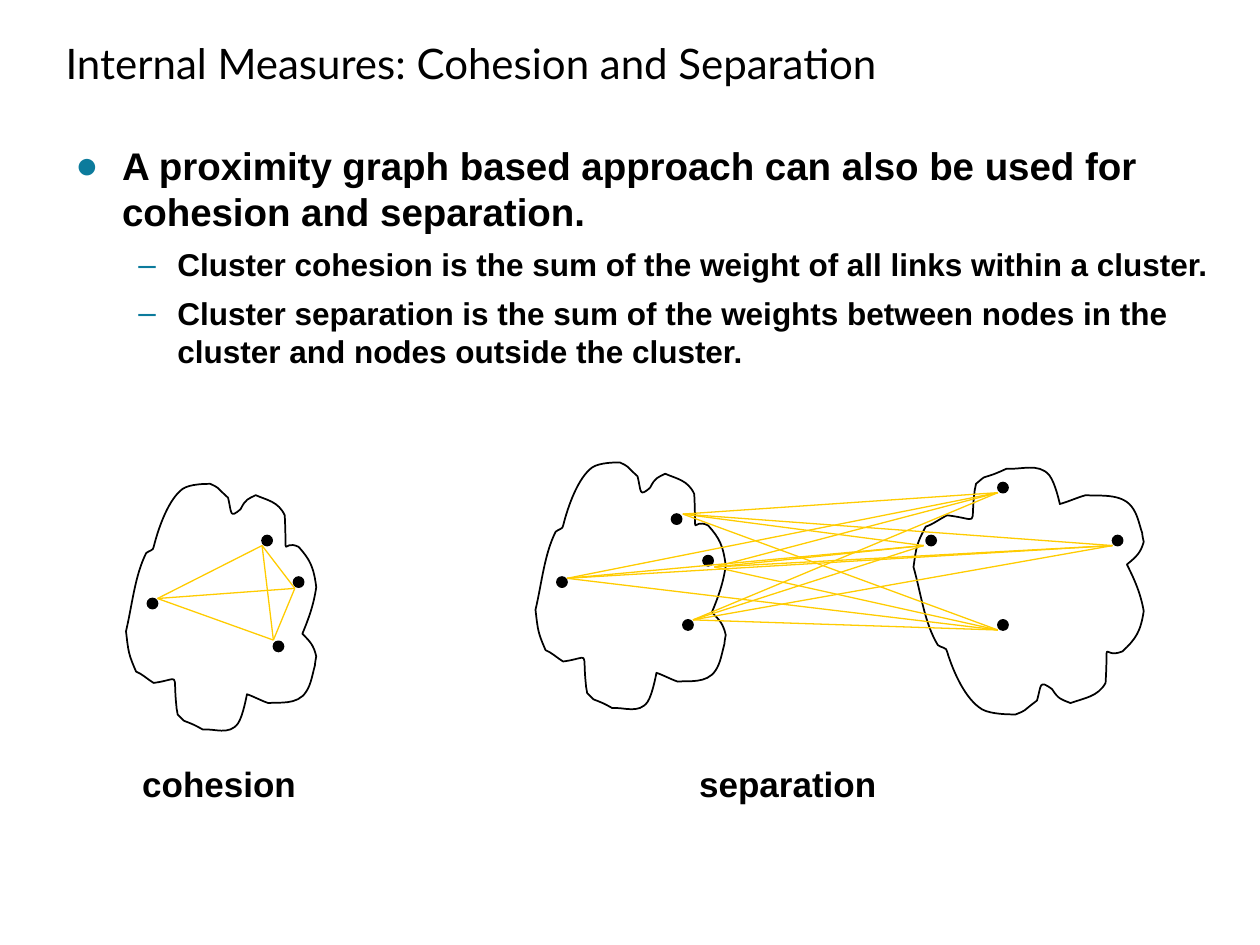
"""Build a slide on cluster cohesion and separation in proximity graphs."""
import copy
import itertools

import lxml.etree
import pptx
import pptx.dml.color
import pptx.enum.shapes
import pptx.enum.text
import pptx.oxml.ns
import pptx.util

Inches = pptx.util.Inches
Pt = pptx.util.Pt
qn = pptx.oxml.ns.qn

COLORS = {"ink": "000000", "bullet": "0C7B9C", "link": "FFCC00"}
DOT_SIZE = 0.08

OUTLINE_START = (0.16, 0.55)
OUTLINE_CURVES = [
    (0.07, 0.73, 0.05, 0.96, 0, 1.17), (0.02, 1.34, 0.02, 1.35, 0.08, 1.49),
    (0.13, 1.51, 0.17, 1.55, 0.22, 1.58), (0.44, 1.55, 0.37, 1.48, 0.4, 1.76),
    (0.4, 1.79, 0.41, 1.81, 0.41, 1.83), (0.48, 1.9, 0.44, 1.87, 0.51, 1.9),
    (0.54, 1.91, 0.61, 1.95, 0.61, 1.95), (0.7, 1.94, 0.82, 2, 0.89, 1.9),
    (0.93, 1.84, 0.96, 1.67, 0.96, 1.67), (1.02, 1.69, 1.07, 1.72, 1.13, 1.74),
    (1.21, 1.73, 1.36, 1.76, 1.43, 1.65), (1.47, 1.59, 1.48, 1.51, 1.5, 1.44),
    (1.5, 1.42, 1.51, 1.37, 1.51, 1.37), (1.49, 1.28, 1.46, 1.25, 1.4, 1.19),
    (1.45, 1.07, 1.49, 0.96, 1.51, 0.82), (1.49, 0.66, 1.46, 0.6, 1.37, 0.5),
    (1.23, 0.43, 1.28, 0.65, 1.26, 0.25), (1.21, 0.14, 1.12, 0.13, 1.03, 0.09),
    (0.97, 0.12, 0.95, 0.12, 0.91, 0.2), (0.82, 0.28, 0.84, 0.23, 0.81, 0.11),
    (0.7, 0.01, 0.75, 0.04, 0.67, 0), (0.63, 0, 0.51, 0, 0.45, 0.04),
    (0.34, 0.12, 0.26, 0.34, 0.22, 0.5), (0.22, 0.53, 0.18, 0.53, 0.16, 0.55),
]
NEAR_DOTS = [(1.17, 1.25), (1.08, 0.41), (0.17, 0.91), (1.33, 0.74)]
FAR_DOTS = [(1.58, 0.58), (0.1, 0.58), (0.67, 1.25), (0.67, 0.16)]
CLUSTERS = [
    {"left": 4.25, "top": 3.67, "stretch": 1, "flip": False, "dots": NEAR_DOTS},
    {"left": 7.25, "top": 3.67, "stretch": 1.21, "flip": True, "dots": FAR_DOTS},
    {"left": 1, "top": 3.84, "stretch": 1, "flip": False, "dots": NEAR_DOTS},
]
COHESION_ENDS = [(1.25, 4.75), (2.08, 4.33), (2.17, 5.08), (2.34, 4.67)]
SEPARATION_STARTS = [(5.5, 4.92), (5.67, 4.5), (4.5, 4.59), (5.42, 4.08)]
SEPARATION_ENDS = [(7.92, 5), (7.33, 4.33), (7.92, 3.91), (8.83, 4.33)]


def write_text(text, *, paragraph, size, name="Arial", bold=True, bullet=None,
               indent=(0, 0), level=0, before=0, spacing=None):
    paragraph.text = text
    paragraph.level = level
    paragraph.alignment = pptx.enum.text.PP_ALIGN.LEFT
    paragraph.space_before = Pt(before)
    if spacing:
        paragraph.line_spacing = spacing
    if bullet:
        properties = paragraph._p.get_or_add_pPr()
        properties.set("marL", str(Inches(indent[0])))
        properties.set("indent", str(Inches(indent[1])))
        color = lxml.etree.SubElement(properties, qn("a:buClr"))
        lxml.etree.SubElement(color, qn("a:srgbClr"), val=COLORS["bullet"])
        lxml.etree.SubElement(properties, qn("a:buFont"), typeface="Arial")
        lxml.etree.SubElement(properties, qn("a:buChar"), char=bullet)
    font = paragraph.runs[0].font
    font.name, font.size, font.bold = name, Pt(size), bold
    font.color.rgb = pptx.dml.color.RGBColor.from_string(COLORS["ink"])


def set_line(shape, color, width):
    shape.line.color.rgb = pptx.dml.color.RGBColor.from_string(COLORS[color])
    shape.line.width = Pt(width)


presentation = pptx.Presentation()
presentation.slide_width, presentation.slide_height = Inches(10), Inches(7.5)
slide = presentation.slides.add_slide(presentation.slide_layouts[5])
shapes = slide.shapes

left, top, right, bottom = (Inches(value) for value in (0.5, 1.08, 9.75, 6.91))
builder = shapes.build_freeform(left, top)
builder.add_line_segments([(right, top), (right, bottom), (left, bottom)], close=True)
body = builder.convert_to_shape()
body.shadow.inherit = False
body.fill.background()
body.line.fill.background()
body.text_frame.word_wrap = True
body.text_frame.vertical_anchor = pptx.enum.text.MSO_ANCHOR.TOP
write_text("A proximity graph based approach can also be used for cohesion and separation.",
           paragraph=body.text_frame.paragraphs[0], size=22, bullet="●",
           indent=(0.37, -0.37))
for text in (
    "Cluster cohesion is the sum of the weight of all links within a cluster.",
    "Cluster separation is the sum of the weights between nodes in the cluster "
    "and nodes outside the cluster.",
):
    write_text(text, paragraph=body.text_frame.add_paragraph(), size=18, bullet="–",
               indent=(0.81, -0.31), level=1, before=6.2)

title = shapes.title
title.left, title.top = Inches(0.42), Inches(0.17)
title.width, title.height = Inches(9.06), Inches(0.58)
title._element.spPr.append(copy.deepcopy(body._element.spPr.find(qn("a:custGeom"))))
title.text_frame.vertical_anchor = pptx.enum.text.MSO_ANCHOR.BOTTOM
title.text_frame.auto_size = pptx.enum.text.MSO_AUTO_SIZE.NONE
write_text("Internal Measures: Cohesion and Separation",
           paragraph=title.text_frame.paragraphs[0], size=24, name="Lato",
           bold=False, spacing=1.5)

for cluster in CLUSTERS:
    curves = [
        [(Inches(cluster["left"] + x * cluster["stretch"]),
          Inches(cluster["top"] + (2 - y if cluster["flip"] else y)))
         for x, y in zip(curve[::2], curve[1::2])]
        for curve in [OUTLINE_START, *OUTLINE_CURVES]
    ]
    builder = shapes.build_freeform(*curves[0][0])
    builder.add_line_segments([curve[-1] for curve in curves[1:]], close=True)
    border = builder.convert_to_shape()
    border.shadow.inherit = False
    border.fill.background()
    set_line(border, "ink", 1)
    segments = list(border._element.iter(qn("a:lnTo")))
    for segment, curve in zip(segments, curves[1:]):
        bezier = lxml.etree.Element(qn("a:cubicBezTo"))
        for x, y in curve:
            lxml.etree.SubElement(bezier, qn("a:pt"), x=str(x - border.left),
                                  y=str(y - border.top))
        segment.getparent().replace(segment, bezier)
    for x, y in cluster["dots"]:
        dot = shapes.add_shape(
            pptx.enum.shapes.MSO_SHAPE.OVAL, Inches(cluster["left"] + x),
            Inches(cluster["top"] + y), Inches(DOT_SIZE), Inches(DOT_SIZE))
        dot.shadow.inherit = False
        dot.fill.solid()
        dot.fill.fore_color.rgb = pptx.dml.color.RGBColor.from_string(COLORS["ink"])
        set_line(dot, "ink", 1)

for start, end in itertools.chain(
    itertools.product(SEPARATION_STARTS, SEPARATION_ENDS),
    itertools.combinations(COHESION_ENDS, 2),
):
    link = shapes.add_connector(
        pptx.enum.shapes.MSO_CONNECTOR.STRAIGHT,
        *(Inches(value) for value in start + end))
    set_line(link, "link", 0.75)
    lxml.etree.SubElement(link._element.spPr, qn("a:effectLst"))

for text, left, width in (("cohesion", 1.03, 1.42), ("separation", 5.45, 1.61)):
    label = shapes.add_textbox(Inches(left), Inches(6), Inches(width), Inches(0.44))
    label.text_frame.word_wrap = True
    write_text(text, paragraph=label.text_frame.paragraphs[0], size=20)

presentation.save("out.pptx")
